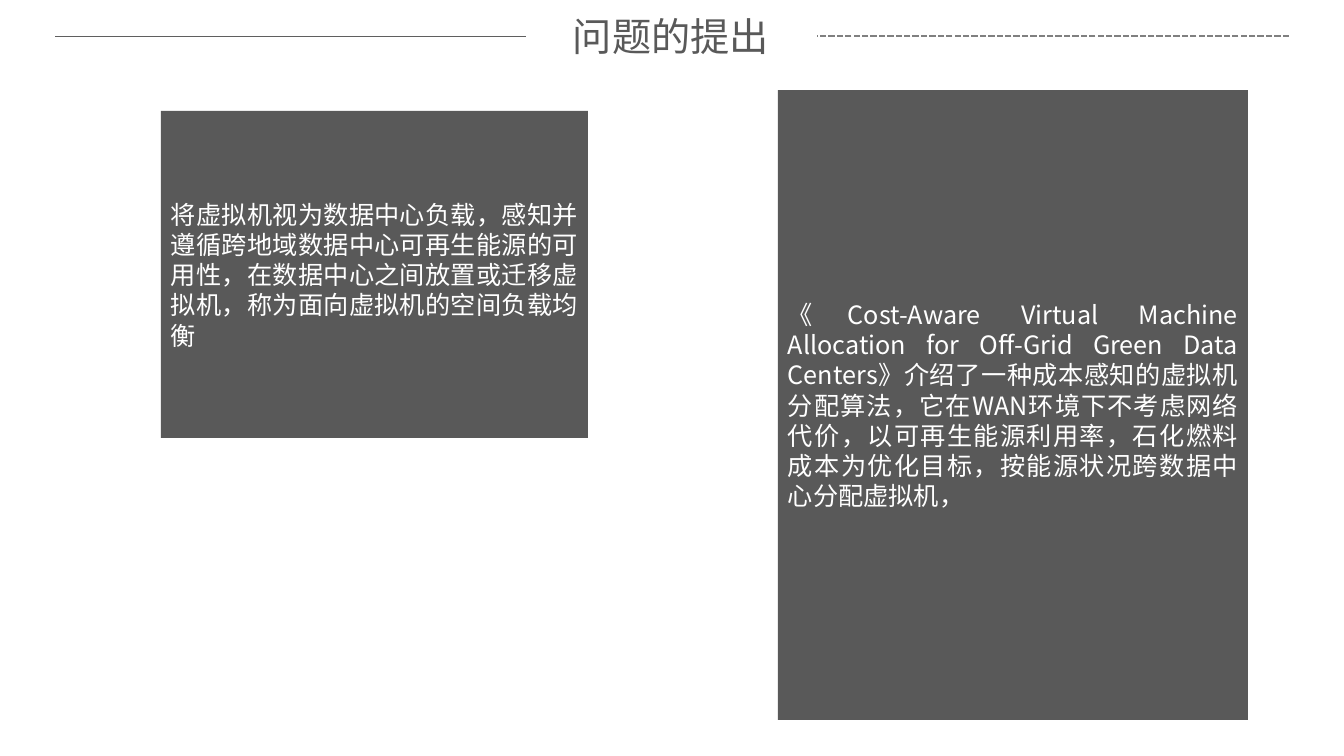
from dataclasses import dataclass

from lxml import etree
from pptx import Presentation
from pptx.dml.color import RGBColor
from pptx.enum.dml import MSO_LINE
from pptx.enum.shapes import MSO_CONNECTOR, MSO_SHAPE
from pptx.enum.text import MSO_ANCHOR, PP_ALIGN
from pptx.oxml.ns import qn
from pptx.util import Pt

RECTANGLE = MSO_SHAPE.RECTANGLE
STRAIGHT = MSO_CONNECTOR.STRAIGHT
DASHED, SOLID = MSO_LINE.SQUARE_DOT, MSO_LINE.SOLID
TOP, MIDDLE = MSO_ANCHOR.TOP, MSO_ANCHOR.MIDDLE
LEFT, JUSTIFY = PP_ALIGN.LEFT, PP_ALIGN.JUSTIFY

# Content: boxes are left, top, width, height in px
SLIDE_SIZE = (1344, 756)
TITLE = ("问题的提出", (563, 7, 216, 57))
RULE_Y = 36
RULES = [  # from x, to x, colour, width in points, dash
    (1289, 817, "808080", 1.5, DASHED),
    (526, 55, "5F5F5F", 0.5, SOLID),
]
PANELS = [
    ("将虚拟机视为数据中心负载，感知并遵循跨地域数据中心可再生能源的可用性，"
     "在数据中心之间放置或迁移虚拟机，称为面向虚拟机的空间负载均衡",
     (161, 111, 427, 327)),
    ("《Cost-Aware Virtual Machine Allocation for Off-Grid Green Data Centers》"
     "介绍了一种成本感知的虚拟机分配算法，它在WAN环境下不考虑网络代价，"
     "以可再生能源利用率，石化燃料成本为优化目标，按能源状况跨数据中心分配虚拟机，",
     (778, 90, 470, 630)),
]


@dataclass(frozen=True)
class Theme:
    dark: str = "595959"
    light: str = "FFFFFF"
    title_font: str = "Arial"
    body_font: str = "Noto Sans CJK SC"
    title_size: int = 28
    body_size: int = 18


THEME = Theme()
EMU_PER_PX = 914400 / 100.8


def px(*lengths):
    return [round(length * EMU_PER_PX) for length in lengths]


def write(frame, text, *, font, size, color, align=LEFT, anchor=TOP, wrap=True):
    frame.word_wrap = wrap
    frame.vertical_anchor = anchor
    paragraph = frame.paragraphs[0]
    paragraph.alignment = align
    run = paragraph.add_run()
    run.text = text
    run.font.name = font
    run.font.size = Pt(size)
    run.font.color.rgb = RGBColor.from_string(color)
    east_asian = etree.SubElement(run.font._element, qn("a:ea"))
    east_asian.set("typeface", THEME.body_font)


def add_rule(slide, start, end, color, width, dash):
    rule = slide.shapes.add_connector(STRAIGHT, *px(start, RULE_Y, end, RULE_Y))
    rule.line.color.rgb = RGBColor.from_string(color)
    rule.line.width = Pt(width)
    rule.line.dash_style = dash
    etree.SubElement(rule._element.spPr, qn("a:effectLst"))


def add_panel(slide, text, box):
    panel = slide.shapes.add_shape(RECTANGLE, *px(*box))
    panel.shadow.inherit = False
    panel.fill.solid()
    panel.fill.fore_color.rgb = RGBColor.from_string(THEME.dark)
    panel.line.fill.background()
    write(panel.text_frame, text, font=THEME.body_font, size=THEME.body_size,
          color=THEME.light, align=JUSTIFY, anchor=MIDDLE)


def main():
    deck = Presentation()
    deck.slide_width, deck.slide_height = px(*SLIDE_SIZE)
    slide = deck.slides.add_slide(deck.slide_layouts[6])

    # Heading between two rules
    heading, heading_box = TITLE
    title = slide.shapes.add_textbox(*px(*heading_box))
    write(title.text_frame, heading, font=THEME.title_font,
          size=THEME.title_size, color=THEME.dark, wrap=False)
    for rule in RULES:
        add_rule(slide, *rule)

    # Text panels
    for text, box in PANELS:
        add_panel(slide, text, box)

    deck.save("out.pptx")


if __name__ == "__main__":
    main()
